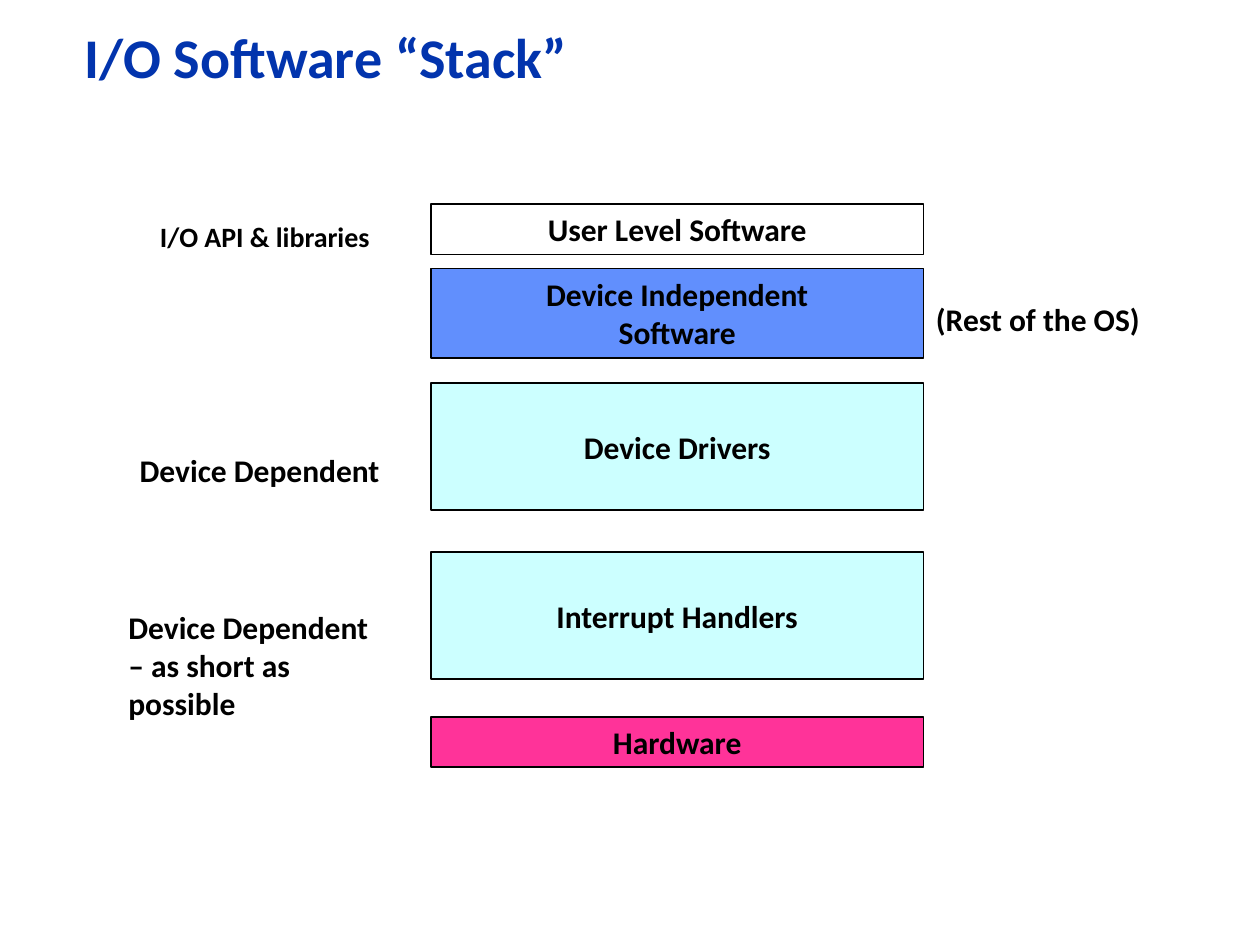
from pptx import Presentation
from pptx.dml.color import RGBColor
from pptx.enum.shapes import MSO_SHAPE
from pptx.enum.text import MSO_ANCHOR, PP_ALIGN
from pptx.util import Inches, Pt

COLORS = {
    "title": "0234AD",
    "black": "000000",
    "os": "618FFD",
    "device": "CCFFFF",
    "hardware": "FF3399",
}
BOX_LEFT, BOX_WIDTH = 3.42, 3.91

# text, top, height, fill
LAYERS = [
    ("User Level Software", 1.62, 0.4, None),
    ("Device Independent\nSoftware", 2.13, 0.71, "os"),
    ("Device Drivers", 3.04, 1.01, "device"),
    ("Interrupt Handlers", 4.38, 1.01, "device"),
    ("Hardware", 5.69, 0.4, "hardware"),
]
# text, left, top, width, height, size
LABELS = [
    ("I/O API & libraries", 1.17, 1.69, 2.08, 0.37, 16),
    ("Device Dependent", 1.01, 3.53, 2.25, 0.4, 18),
    ("Device Dependent – as short as possible", 0.92, 4.78, 2.25, 1.01, 18),
    ("(Rest of the OS)", 7.33, 2.33, 1.83, 0.4, 18),
]


class StackSlide:
    def __init__(self, prs, font="Calibri"):
        self.s = prs.slides.add_slide(prs.slide_layouts[5])
        self.font = font

    def color(self, name):
        return RGBColor.from_string(COLORS[name])

    def set_text(self, sp, text, size, color="black", align=PP_ALIGN.LEFT,
                 anchor=MSO_ANCHOR.MIDDLE):
        tf = sp.text_frame
        tf.text = text
        tf.word_wrap = True
        tf.vertical_anchor = anchor
        for p in tf.paragraphs:
            p.alignment = align
            for r in p.runs:
                r.font.name = self.font
                r.font.size = Pt(size)
                r.font.bold = True
                r.font.color.rgb = self.color(color)

    def title(self, text, left, top, width, height):
        sp = self.s.shapes.title
        sp.left, sp.top = Inches(left), Inches(top)
        sp.width, sp.height = Inches(width), Inches(height)
        self.set_text(sp, text, 32, "title")
        sp.text_frame.paragraphs[0].line_spacing = 0.9

    def layer(self, text, top, height, fill):
        sp = self.s.shapes.add_shape(
            MSO_SHAPE.RECTANGLE, Inches(BOX_LEFT), Inches(top),
            Inches(BOX_WIDTH), Inches(height))
        sp.shadow.inherit = False
        if fill:
            sp.fill.solid()
            sp.fill.fore_color.rgb = self.color(fill)
        else:
            sp.fill.background()
        sp.line.color.rgb = self.color("black")
        sp.line.width = Pt(1)
        self.set_text(sp, text, 18, align=PP_ALIGN.CENTER)

    def label(self, text, left, top, width, height, size):
        sp = self.s.shapes.add_textbox(
            Inches(left), Inches(top), Inches(width), Inches(height))
        self.set_text(sp, text, size, anchor=MSO_ANCHOR.TOP)


def main():
    prs = Presentation()
    prs.slide_width, prs.slide_height = Inches(10), Inches(7.5)
    slide = StackSlide(prs)
    slide.title("I/O Software “Stack”", 0.57, 0.19, 7.83, 0.58)
    for layer in LAYERS:
        slide.layer(*layer)
    for label in LABELS:
        slide.label(*label)
    prs.save("out.pptx")


if __name__ == "__main__":
    main()
